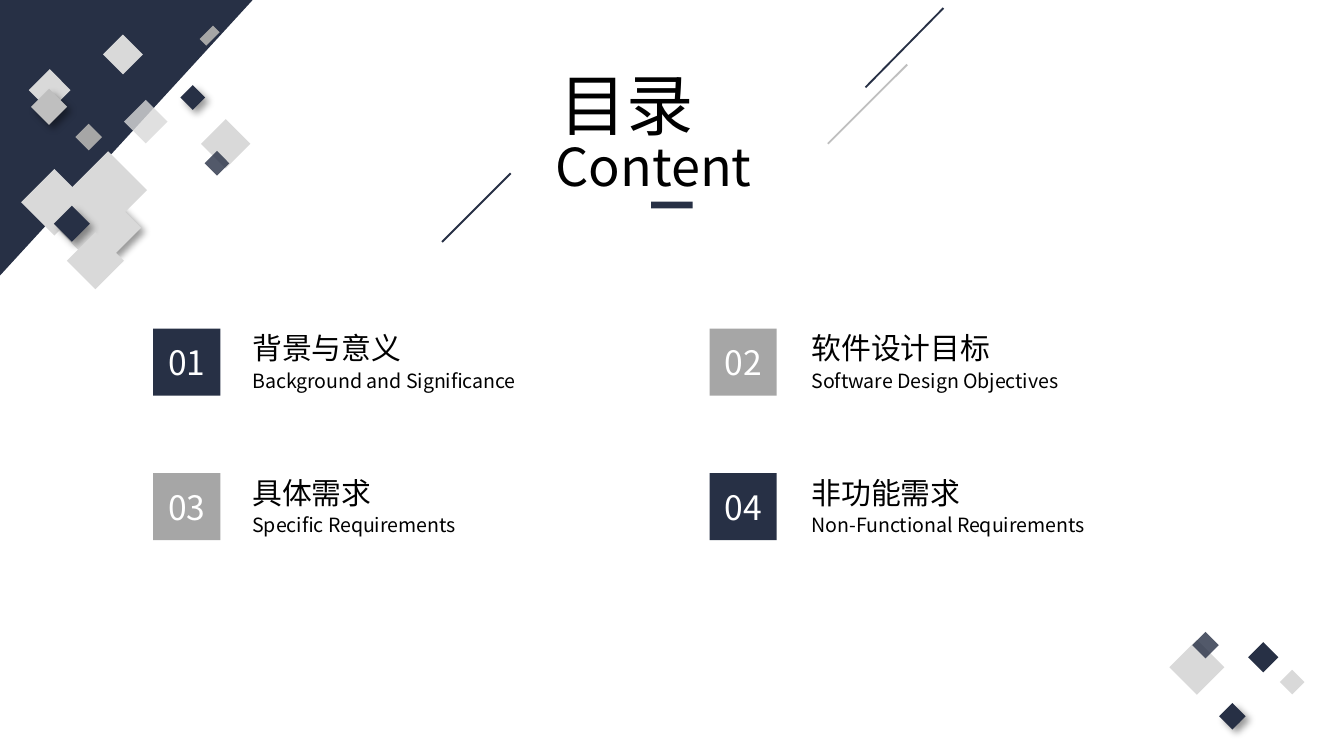
from lxml import etree
from pptx import Presentation
from pptx.dml.color import RGBColor
from pptx.enum.shapes import MSO_CONNECTOR, MSO_SHAPE
from pptx.enum.text import MSO_ANCHOR, MSO_AUTO_SIZE, PP_ALIGN
from pptx.oxml import parse_xml
from pptx.oxml.ns import nsdecls, qn
from pptx.util import Inches, Pt

NAVY = RGBColor(0x27, 0x30, 0x45)
GRAY = RGBColor(0xA6, 0xA6, 0xA6)
SILVER = RGBColor(0xBF, 0xBF, 0xBF)
PALE = RGBColor(0xD9, 0xD9, 0xD9)
BLACK = RGBColor(0, 0, 0)
WHITE = RGBColor(255, 255, 255)
RECTANGLE = MSO_SHAPE.RECTANGLE
TRIANGLE = MSO_SHAPE.ISOSCELES_TRIANGLE
STRAIGHT = MSO_CONNECTOR.STRAIGHT
TOP, MIDDLE = MSO_ANCHOR.TOP, MSO_ANCHOR.MIDDLE
GROW = MSO_AUTO_SIZE.SHAPE_TO_FIT_TEXT
LEFT, CENTER, JUSTIFY = PP_ALIGN.LEFT, PP_ALIGN.CENTER, PP_ALIGN.JUSTIFY

FONT = "Noto Sans CJK SC"
COLUMNS, ROWS = 100, 56.25  # square cells across and down the slide
CELL = Inches(0.1)
TITLE_ONLY = 5

SHADOW = f"""<a:effectLst {nsdecls("a")}>
  <a:outerShdw blurRad="{Pt(4)}" dist="{Pt(3)}" dir="2700000" algn="tl" rotWithShape="0">
    <a:srgbClr val="000000"><a:alpha val="40000"/></a:srgbClr>
  </a:outerShdw>
</a:effectLst>"""


def cells(*counts):
    return [round(count * CELL) for count in counts]


def write_text(frame, text, size, color=BLACK, align=LEFT, anchor=TOP):
    frame.text = text
    frame.vertical_anchor = anchor
    paragraph = frame.paragraphs[0]
    paragraph.alignment = align
    run = paragraph.runs[0]
    run.font.size = Pt(size)
    run.font.name = FONT
    run.font.color.rgb = color
    east_asian = etree.SubElement(run.font._element, qn("a:ea"))
    east_asian.set("typeface", FONT)


class SlideBuilder:
    """Draws on one slide; all lengths are counts of grid cells."""

    def __init__(self, presentation):
        self.slide = presentation.slides.add_slide(presentation.slide_layouts[TITLE_ONLY])
        self.shapes = self.slide.shapes

    def start_group(self):
        self.shapes = self.slide.shapes.add_group_shape().shapes

    def end_group(self):
        self.shapes = self.slide.shapes

    def title(self, text, box, **text_format):
        shape = self.slide.shapes.title
        shape.left, shape.top, shape.width, shape.height = cells(*box)
        write_text(shape.text_frame, text, **text_format)
        shape.text_frame.auto_size = GROW

    def text(self, text, box, wrap=False, **text_format):
        frame = self.shapes.add_textbox(*cells(*box)).text_frame
        write_text(frame, text, **text_format)
        frame.word_wrap = wrap
        frame.auto_size = GROW

    def block(self, box, color, kind=RECTANGLE, rotation=0):
        shape = self.shapes.add_shape(kind, *cells(*box))
        shape.rotation = rotation
        shape.shadow.inherit = False
        shape.fill.solid()
        shape.fill.fore_color.rgb = color
        shape.line.fill.background()
        return shape

    def diamond(self, left, top, size, color, height=None, opacity=100, shadow=False):
        shape = self.block((left, top, size, height or size), color, rotation=315)
        properties = shape._element.spPr
        if opacity < 100:
            alpha = etree.SubElement(properties.find(".//" + qn("a:srgbClr")), qn("a:alpha"))
            alpha.set("val", str(opacity * 1000))
        if shadow:
            properties.replace(properties.find(qn("a:effectLst")), parse_xml(SHADOW))

    def line(self, start, end, color):
        connector = self.shapes.add_connector(STRAIGHT, *cells(*start, *end))
        connector.line.color.rgb = color
        connector.line.width = Pt(1)
        etree.SubElement(connector._element.spPr, qn("a:effectLst"))

    def badge(self, left, top, number, color):
        shape = self.block((left, top, 5, 5), color)
        write_text(shape.text_frame, number, 18, WHITE, CENTER, MIDDLE)

    def heading_pair(self, left, top, chinese, english, english_width):
        self.start_group()
        self.text(chinese, (left, top, 2.2 * len(chinese) + 2.2, 3.7), size=16)
        self.text(english, (left, top + 2.9, english_width, 2.8), size=10.5)
        self.end_group()


def draw_lines(builder):
    builder.start_group()
    builder.line((64.4, 6.5), (70.2, 0.6), NAVY)
    builder.line((61.6, 10.7), (67.5, 4.8), SILVER)
    builder.end_group()
    builder.line((32.9, 18), (38, 12.9), NAVY)


def draw_bottom_corner(builder):
    builder.start_group()
    builder.diamond(93.2, 48.1, 1.6, NAVY)
    builder.diamond(95.5, 50.1, 1.3, PALE)
    builder.diamond(87.6, 48.2, 2.9, PALE)
    builder.diamond(91, 52.6, 1.4, NAVY, shadow=True)
    builder.diamond(89, 47.3, 1.4, NAVY, opacity=80)
    builder.end_group()


def draw_top_corner(builder):
    builder.start_group()
    corner = builder.block((-0.85, 0.85, 20.5, 18.8), NAVY, TRIANGLE, rotation=90)
    corner.adjustments[0] = 0
    builder.diamond(8.1, 3, 2.1, PALE)
    builder.diamond(5.9, 9.5, 1.4, GRAY)
    builder.diamond(2.6, 5.6, 2.2, PALE)
    builder.diamond(2.7, 7, 1.9, SILVER, shadow=True)
    builder.diamond(14.9, 2.3, 1.4, GRAY, height=0.7)
    builder.diamond(2.3, 13.3, 3.5, PALE)
    builder.diamond(7, 15.5, 2.9, PALE, shadow=True)
    builder.diamond(6, 14.8, 1.8, PALE)
    builder.diamond(4.6, 15.1, 3.2, PALE)
    builder.diamond(15.5, 9.4, 2.6, PALE)
    builder.diamond(13.7, 6.6, 1.3, NAVY, shadow=True)
    builder.diamond(4.4, 15.7, 1.9, NAVY, shadow=True)
    builder.diamond(15.5, 11.5, 1.3, NAVY, opacity=80)
    builder.diamond(9.7, 7.9, 2.3, PALE, opacity=80)
    builder.diamond(6, 12.1, 4.1, PALE)
    builder.diamond(5.6, 17.9, 3, PALE)
    builder.end_group()


def main():
    presentation = Presentation()
    presentation.slide_width, presentation.slide_height = cells(COLUMNS, ROWS)
    builder = SlideBuilder(presentation)
    draw_lines(builder)
    draw_bottom_corner(builder)
    draw_top_corner(builder)
    builder.text("Content", (40.35, 9.5, 19.3, 5.7), wrap=True, size=28, align=JUSTIFY)
    builder.title("目录", (40.6, 4.2, 18.8, 7.1), size=36, align=JUSTIFY)
    builder.block((48.45, 15, 3.1, 0.5), NAVY)

    entries = [
        ("背景与意义", "Background and Significance", 22.4, NAVY),
        ("软件设计目标", "Software Design Objectives", 21.3, GRAY),
        ("具体需求", "Specific Requirements", 17.7, GRAY),
        ("非功能需求", "Non-Functional Requirements", 23.2, NAVY),
    ]
    for index, (chinese, english, english_width, color) in enumerate(entries):
        row, column = divmod(index, 2)
        drop = 10.75 * row
        builder.badge(11.4 + 41.4 * column, 24.45 + drop, f"{index + 1:02}", color)
        builder.heading_pair(17.8 + 41.6 * column, 24.05 + drop, chinese, english, english_width)
    presentation.save("out.pptx")


if __name__ == "__main__":
    main()
